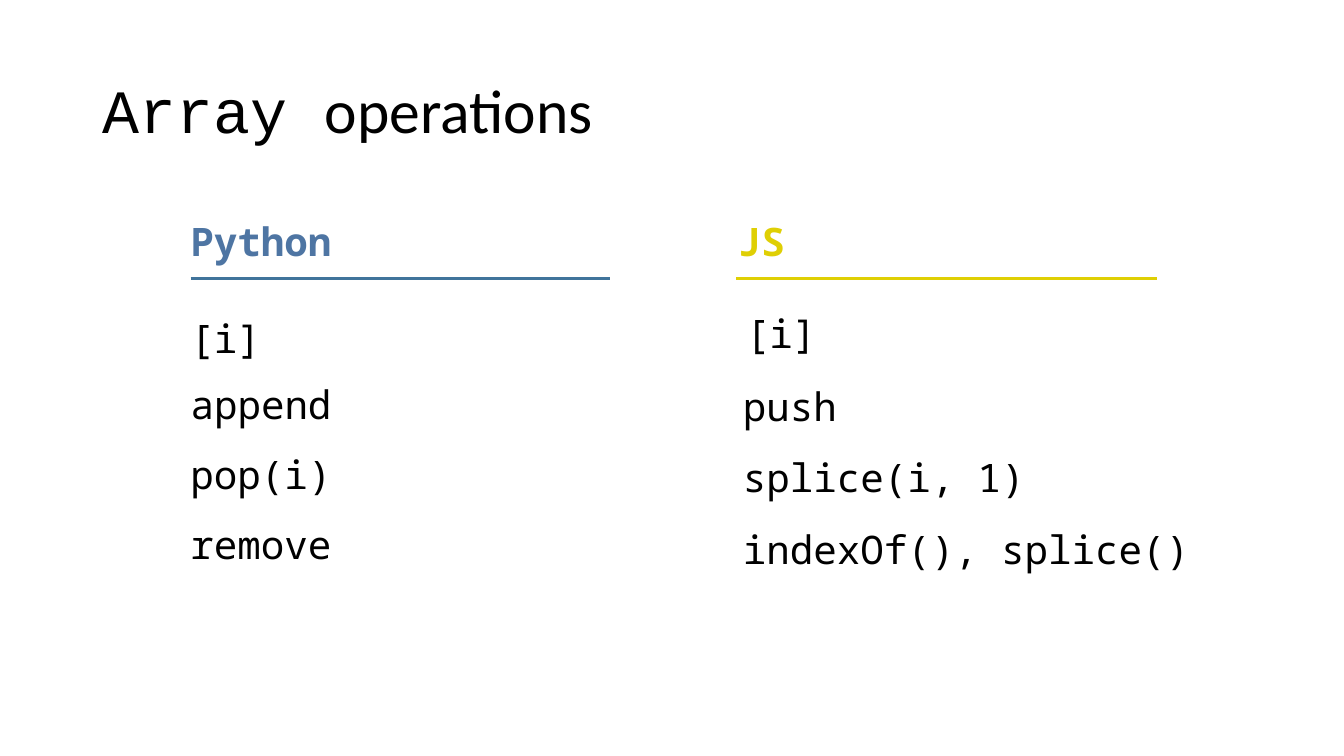
"""Build a slide comparing array operations in Python and JS."""
from lxml import etree
from pptx import Presentation
from pptx.dml.color import RGBColor
from pptx.enum.shapes import MSO_CONNECTOR
from pptx.enum.text import MSO_ANCHOR, MSO_AUTO_SIZE, PP_ALIGN
from pptx.oxml.ns import qn
from pptx.util import Inches, Pt

BLACK = RGBColor(0x00, 0x00, 0x00)
PYTHON_BLUE = RGBColor(0x4E, 0x75, 0xA3)
RULE_BLUE = RGBColor(0x40, 0x74, 0x9B)
JS_YELLOW = RGBColor(0xDF, 0xCF, 0x04)
MONO = "Noto Sans Mono"


def place(shape, left, top, width, height):
    shape.left, shape.top = Inches(left), Inches(top)
    shape.width, shape.height = Inches(width), Inches(height)
    shape.text_frame.word_wrap = True
    shape.text_frame.auto_size = MSO_AUTO_SIZE.NONE
    paragraph = shape.text_frame.paragraphs[0]
    paragraph.alignment = PP_ALIGN.LEFT
    return paragraph


def add_text(paragraph, text, size, font, color=BLACK, bold=False):
    run = paragraph.add_run()
    run.text = text
    run.font.size, run.font.name, run.font.bold = Pt(size), font, bold
    run.font.color.rgb = color


prs = Presentation()
prs.slide_width, prs.slide_height = Inches(13.33), Inches(7.5)
slide = prs.slides.add_slide(prs.slide_layouts[1])
title, body = slide.placeholders

heading = place(title, 0.92, 0.4, 11.5, 1.45)
title.text_frame.vertical_anchor = MSO_ANCHOR.MIDDLE
heading.line_spacing = 0.9
add_text(heading, "Array ", 44, "Courier New")
add_text(heading, "operations", 44, "Calibri")

columns = [
    ("Python", 1.79, PYTHON_BLUE, 1.89, 6.05, RULE_BLUE),
    ("JS", 7.22, JS_YELLOW, 7.3, 11.48, JS_YELLOW),
]
for language, left, color, rule_start, rule_end, rule_color in columns:
    label = place(slide.shapes.add_textbox(0, 0, 0, 0), left, 2.11, 1.82, 0.57)
    add_text(label, language, 28, MONO, color, True)
    rule = slide.shapes.add_connector(
        MSO_CONNECTOR.STRAIGHT, Inches(rule_start), Inches(2.76), Inches(rule_end), Inches(2.76))
    rule.line.color.rgb = rule_color
    rule.line.width = Pt(2.25)
    etree.SubElement(rule.element.spPr, qn("a:effectLst"))

operations = [
    ("[i]", 1.79, 3.12, 4.25, 0.65, True),
    ("append", 1.79, 3.78, 4.25, 0.65, True),
    ("pop(i)", 1.79, 4.42, 3.87, 0.57, False),
    ("remove", 1.79, 5.17, 3.87, 0.65, True),
    ("[i]", 7.3, 3.07, 5.47, 0.65, True),
    ("push", 7.27, 3.8, 5.47, 0.65, True),
    ("splice(i, 1)", 7.27, 4.45, 6.06, 0.57, False),
    ("indexOf(), splice()", 7.27, 5.22, 5.47, 0.6, True),
]
for name, left, top, width, height, spaced in operations:
    box = body if name == "append" else slide.shapes.add_textbox(0, 0, 0, 0)
    paragraph = place(box, left, top, width, height)
    if spaced:
        paragraph.line_spacing, paragraph.space_before = 0.9, Pt(10)
    if box is body:
        properties = paragraph._p.get_or_add_pPr()
        properties.set("marL", "0")
        properties.set("indent", "0")
        etree.SubElement(properties, qn("a:buNone"))
    add_text(paragraph, name, 28, MONO)

prs.save("out.pptx")
